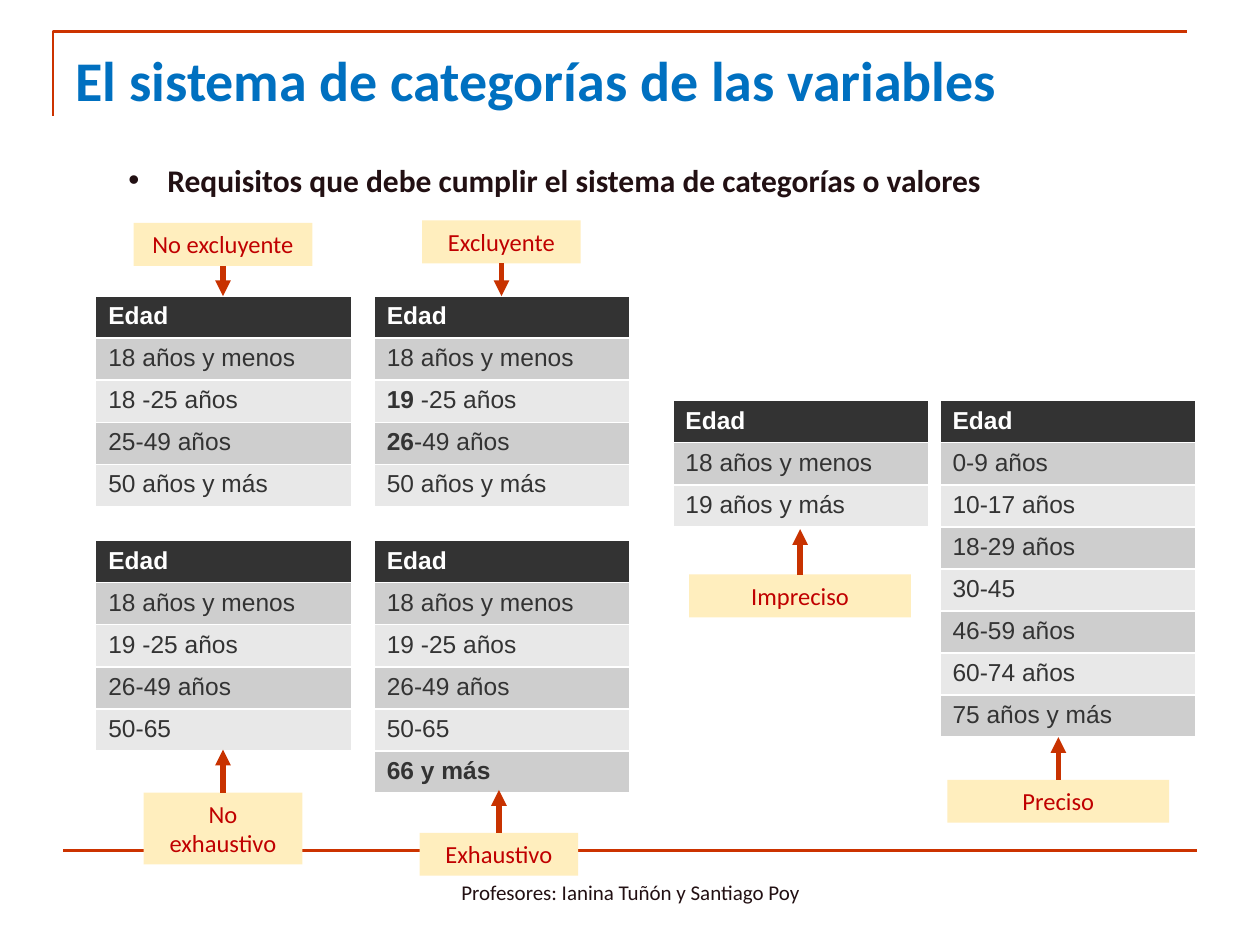
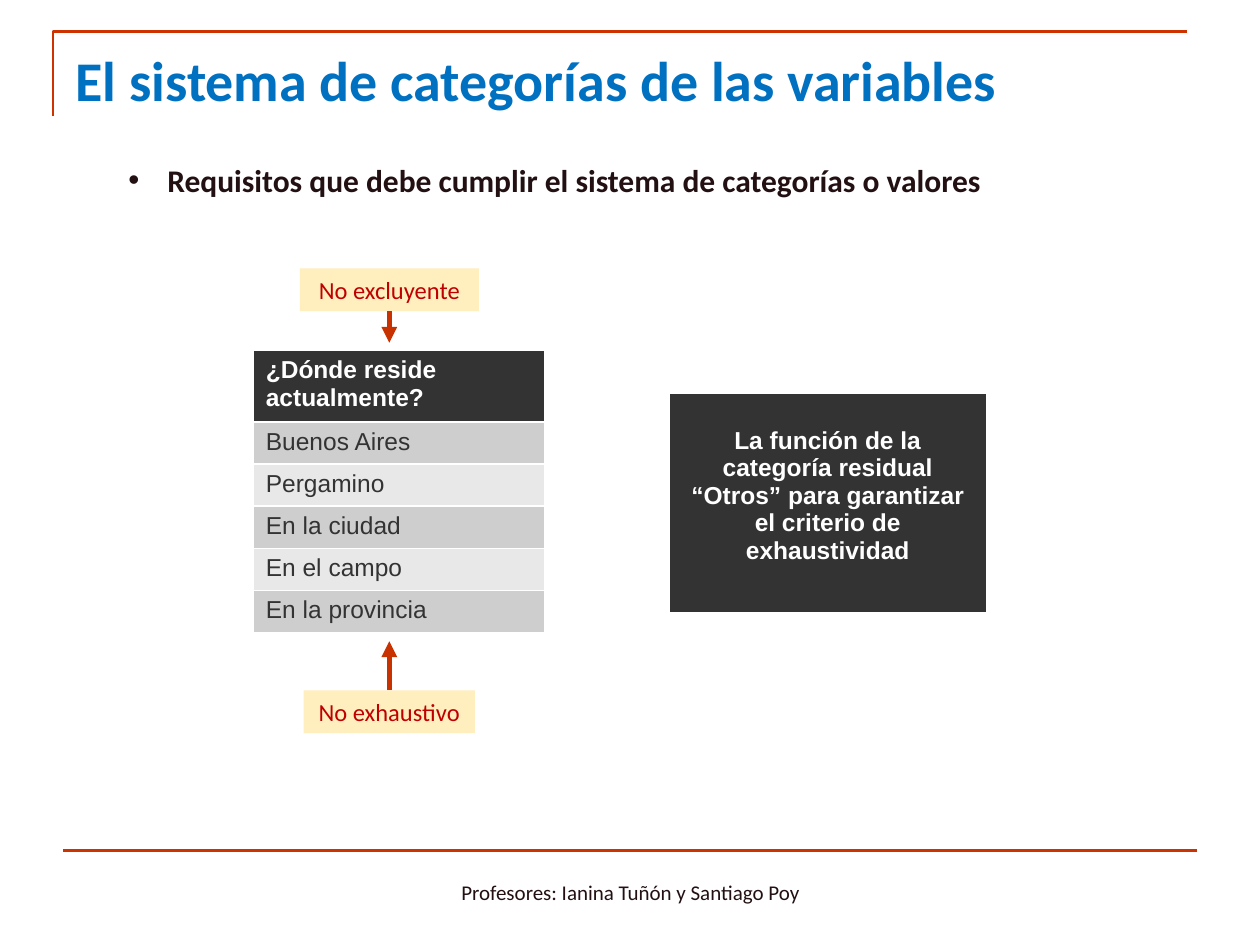
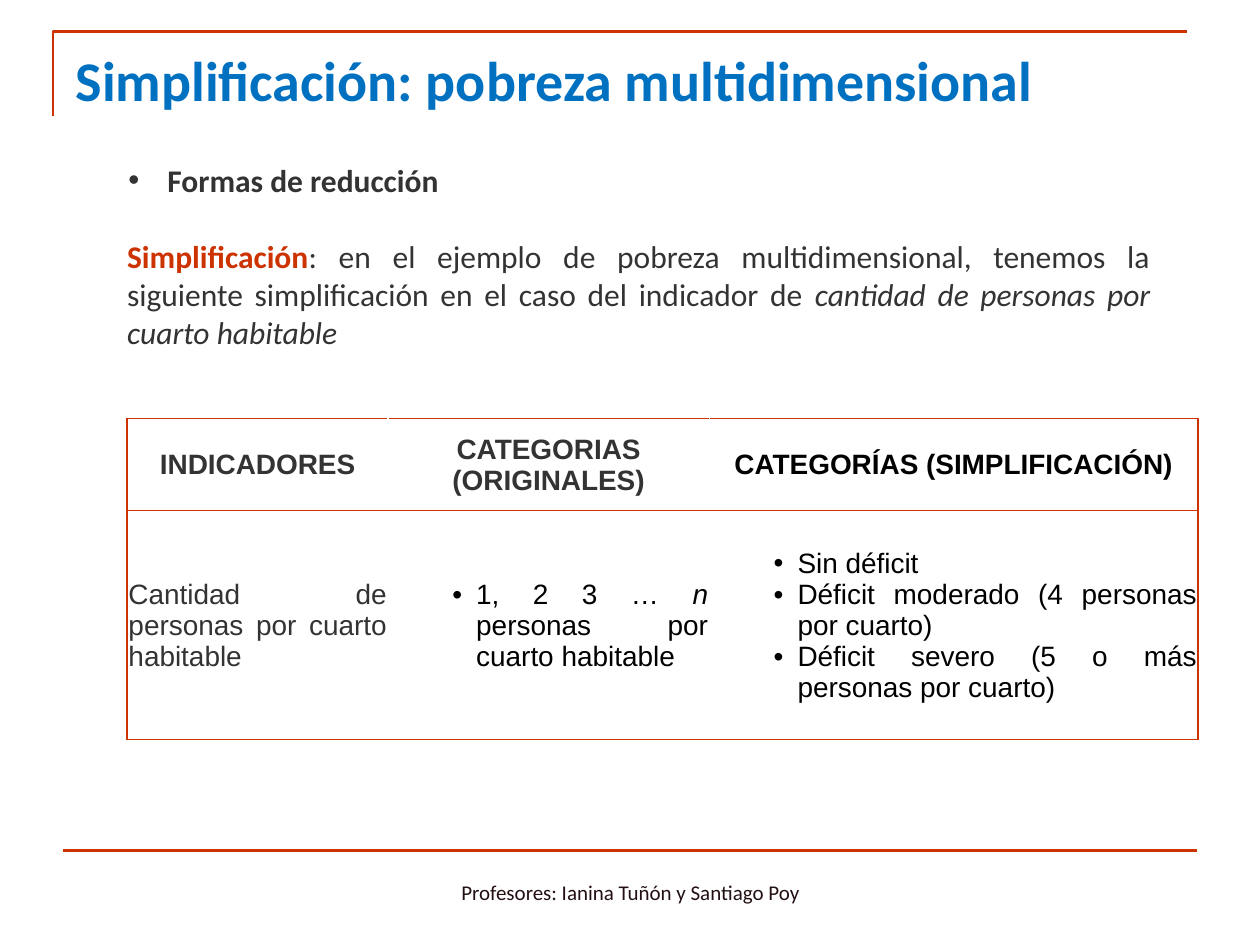
from lxml import etree
from pptx import Presentation
from pptx.dml.color import RGBColor
from pptx.enum.shapes import MSO_CONNECTOR, MSO_SHAPE
from pptx.enum.text import MSO_ANCHOR, MSO_AUTO_SIZE, PP_ALIGN
from pptx.oxml.ns import qn
from pptx.util import Inches, Pt

STRAIGHT = MSO_CONNECTOR.STRAIGHT
RECTANGLE = MSO_SHAPE.RECTANGLE
TOP, MIDDLE = MSO_ANCHOR.TOP, MSO_ANCHOR.MIDDLE
LEFT, CENTER, JUSTIFY = PP_ALIGN.LEFT, PP_ALIGN.CENTER, PP_ALIGN.JUSTIFY
NO_FIT = MSO_AUTO_SIZE.NONE

COLORS = {
    "frame": "CC3300", "arrow": "C83200", "title": "0070C0", "body": "221013",
    "label": "FFEEBE", "label_text": "C00000", "dark": "333333",
    "odd": "CECECE", "even": "E8E8E8", "white": "FFFFFF", "black": "000000",
}
BOLD, ITALIC = {"bold": True}, {"italic": True}
COLUMNS = [0.76, 2.97, 5.34, 7.46]
ROWS = [2.35, 3.18, 4.29]
CELL_WIDTH, CELL_HEIGHT = 2.03, 0.33


def write(frame, *runs, size=14, font="Calibri", color="dark", bold=False, italic=False,
          align=LEFT, margin=0, hanging=0, bullet=False, before=0):
    paragraph = frame.paragraphs[-1]
    if paragraph.runs:
        paragraph = frame.add_paragraph()
    paragraph.alignment = align
    paragraph.space_before = Pt(before)
    properties = paragraph._p.get_or_add_pPr()
    properties.set("marL", str(Inches(margin)))
    properties.set("indent", str(-Inches(hanging)))
    if bullet:
        etree.SubElement(properties, qn("a:buFont")).set("typeface", "Arial")
        etree.SubElement(properties, qn("a:buChar")).set("char", "•")
    for item in runs:
        text, change = (item, {}) if isinstance(item, str) else item
        run = paragraph.add_run()
        run.text = text
        run.font.name = font
        run.font.size = Pt(size)
        run.font.bold = change.get("bold", bold)
        run.font.italic = change.get("italic", italic)
        run.font.color.rgb = RGBColor.from_string(COLORS[change.get("color", color)])


def draw_line(slide, x1, y1, x2, y2, color, width):
    line = slide.shapes.add_connector(STRAIGHT, Inches(x1), Inches(y1), Inches(x2), Inches(y2))
    line.line.color.rgb = RGBColor.from_string(COLORS[color])
    line.line.width = Pt(width)
    etree.SubElement(line._element.spPr, qn("a:effectLst"))
    return line


prs = Presentation()
prs.slide_width, prs.slide_height = Inches(10), Inches(7.5)

system_title = "El sistema de categorías de las variables"
requirements = "Requisitos que debe cumplir el sistema de categorías o valores"
headings = [
    (system_title, requirements, "body"),
    (system_title, requirements, "body"),
    ("Simplificación: pobreza multidimensional", "Formas de reducción", "dark"),
]
slides, bodies = [], []
for heading, point, point_color in headings:
    slide = prs.slides.add_slide(prs.slide_layouts[5])
    builder = slide.shapes.build_freeform(Inches(0.42), Inches(0.92))
    builder.add_line_segments([(Inches(0.42), Inches(0.25)), (Inches(9.42), Inches(0.25))], close=False)
    corner = builder.convert_to_shape()
    corner.shadow.inherit = False
    corner.fill.background()
    corner.line.color.rgb = RGBColor.from_string(COLORS["frame"])
    corner.line.width = Pt(1.5)
    draw_line(slide, 0.5, 6.75, 9.5, 6.75, "frame", 1.5)

    title = slide.shapes.title
    title.left, title.top, title.width, title.height = map(Inches, (0.5, 0.31, 9.22, 0.61))
    title.text_frame.auto_size = NO_FIT
    title.text_frame.vertical_anchor = TOP
    write(title.text_frame, heading, size=32, color="title", bold=True)

    body = slide.shapes.add_textbox(Inches(0.72), Inches(1.23), Inches(8.51), Inches(0.71)).text_frame
    body.word_wrap = True
    write(body, point, size=18, color=point_color, bold=True, align=JUSTIFY,
          margin=0.51, hanging=0.31, bullet=True)

    footer = slide.shapes.add_textbox(Inches(3.42), Inches(6.83), Inches(3.17), Inches(0.5)).text_frame
    footer.word_wrap = True
    footer.vertical_anchor = MIDDLE
    write(footer, "Profesores: Ianina Tuñón y Santiago Poy", size=12, color="body", align=CENTER)
    slides.append(slide)
    bodies.append(body)

categories, residence, simplification = slides

youngest, oldest = "18 años y menos", "50 años y más"
scales = [
    (categories, COLUMNS[0], ROWS[0], CELL_WIDTH, CELL_HEIGHT,
     ["Edad", youngest, "18 -25 años", "25-49 años", oldest]),
    (categories, COLUMNS[1], ROWS[0], CELL_WIDTH, CELL_HEIGHT,
     ["Edad", youngest, [("19", BOLD), " -25 años"], [("26", BOLD), "-49 años"], oldest]),
    (categories, COLUMNS[0], ROWS[2], CELL_WIDTH, CELL_HEIGHT,
     ["Edad", youngest, "19 -25 años", "26-49 años", "50-65"]),
    (categories, COLUMNS[1], ROWS[2], CELL_WIDTH, CELL_HEIGHT,
     ["Edad", youngest, "19 -25 años", "26-49 años", "50-65", [("66 y más", BOLD)]]),
    (categories, COLUMNS[2], ROWS[1], CELL_WIDTH, CELL_HEIGHT,
     ["Edad", youngest, "19 años y más"]),
    (categories, COLUMNS[3], ROWS[1], CELL_WIDTH, CELL_HEIGHT,
     ["Edad", "0-9 años", "10-17 años", "18-29 años", "30-45", "46-59 años",
      "60-74 años", "75 años y más"]),
    (residence, 2.01, 2.78, 2.31, 0.57,
     ["¿Dónde reside actualmente?", "Buenos Aires", "Pergamino", "En la ciudad",
      "En el campo", "En la provincia"]),
]
for slide, left, top, width, head_height, values in scales:
    height = head_height + CELL_HEIGHT * (len(values) - 1)
    scale = slide.shapes.add_table(len(values), 1, Inches(left), Inches(top),
                                   Inches(width), Inches(height)).table
    for index, value in enumerate(values):
        scale.rows[index].height = Inches(CELL_HEIGHT if index else head_height)
        cell = scale.cell(index, 0)
        cell.fill.solid()
        fill = ("odd" if index % 2 else "even") if index else "dark"
        cell.fill.fore_color.rgb = RGBColor.from_string(COLORS[fill])
        runs = [value] if isinstance(value, str) else value
        write(cell.text_frame, *runs, font="Arial", color="dark" if index else "white", bold=index == 0)

labels = [
    (categories, "No excluyente", 1.77, 1.77, 1.42, 0.34, 2.35),
    (categories, "Excluyente", 3.98, 1.75, 1.26, 0.34, 2.35),
    (categories, "No exhaustivo", 1.77, 6.29, 1.26, 0.57, 5.95),
    (categories, "Exhaustivo", 3.96, 6.61, 1.26, 0.34, 6.27),
    (categories, "Impreciso", 6.35, 4.56, 1.76, 0.34, 4.2),
    (categories, "Preciso", 8.4, 6.19, 1.76, 0.34, 5.85),
    (residence, "No excluyente", 3.09, 2.13, 1.42, 0.34, 2.72),
    (residence, "No exhaustivo", 3.09, 5.48, 1.36, 0.34, 5.09),
]
for slide, criterion, center, top, width, height, tip in labels:
    label = slide.shapes.add_shape(RECTANGLE, Inches(center - width / 2), Inches(top),
                                   Inches(width), Inches(height))
    label.shadow.inherit = False
    label.fill.solid()
    label.fill.fore_color.rgb = RGBColor.from_string(COLORS["label"])
    label.line.fill.background()
    label.text_frame.word_wrap = True
    label.text_frame.vertical_anchor = TOP
    write(label.text_frame, criterion, color="label_text", align=CENTER)
    arrow = draw_line(slide, center, top, center, tip, "arrow", 3)
    arrow.begin_connect(label, 2 if tip > top else 0)
    etree.SubElement(arrow.line._get_or_add_ln(), qn("a:tailEnd")).set("type", "triangle")

residual = residence.shapes.add_table(1, 1, Inches(5.31), Inches(3.12), Inches(2.52), Inches(1.74)).table
residual_cell = residual.cell(0, 0)
residual_cell.margin_top = Inches(0.27)
residual_cell.fill.solid()
residual_cell.fill.fore_color.rgb = RGBColor.from_string(COLORS["dark"])
write(residual_cell.text_frame,
      "La función de la categoría residual “Otros” para garantizar el criterio de exhaustividad",
      font="Arial", color="white", bold=True, align=CENTER)

write(bodies[2], ("Simplificación", {"bold": True, "color": "frame"}),
      ": en el ejemplo de pobreza multidimensional, tenemos la siguiente simplificación "
      "en el caso del indicador de ",
      ("cantidad de personas por cuarto habitable", ITALIC),
      size=18, align=JUSTIFY, margin=0.19, before=22)

head = {"bold": True, "align": CENTER}
option = {"color": "black", "align": JUSTIFY, "margin": 0.69, "hanging": 0.19, "bullet": True}
indicator_rows = [
    [([["INDICADORES"]], head),
     ([["CATEGORIAS (ORIGINALES)"]], head),
     ([["CATEGORÍAS (SIMPLIFICACIÓN)"]], {**head, "color": "black"})],
    [([["Cantidad de personas por cuarto habitable"]], {"align": JUSTIFY}),
     ([["1, 2 3 … ", ("n", ITALIC), " personas por cuarto habitable"]], option),
     ([["Sin déficit"], ["Déficit moderado (4 personas por cuarto)"],
       ["Déficit severo (5 o más personas por cuarto)"]], option)],
]
indicators = simplification.shapes.add_table(2, 3, Inches(1.01), Inches(3.32), Inches(8.49), Inches(2.55)).table
for column, width in zip(indicators.columns, (2.07, 2.55, 3.88)):
    column.width = Inches(width)
for row, height in zip(indicators.rows, (0.73, 1.82)):
    row.height = Inches(height)
for row, contents in enumerate(indicator_rows):
    for column, (paragraphs, style) in enumerate(contents):
        cell = indicators.cell(row, column)
        cell.vertical_anchor = MIDDLE
        cell.margin_left = cell.margin_right = cell.margin_top = Inches(0.01)
        cell.margin_bottom = 0
        sides = {0: ["lnL"], 1: [], 2: ["lnR"]}[column] + ["lnT", "lnB"]
        for side in sides:
            border = etree.SubElement(cell._tc.get_or_add_tcPr(), qn("a:" + side), w=str(Pt(1)))
            paint = etree.SubElement(border, qn("a:solidFill"))
            etree.SubElement(paint, qn("a:srgbClr")).set("val", COLORS["frame"])
        cell.fill.solid()
        cell.fill.fore_color.rgb = RGBColor.from_string(COLORS["white"])
        for runs in paragraphs:
            write(cell.text_frame, *runs, size=16, font="Arial", **style)

prs.save("out.pptx")
